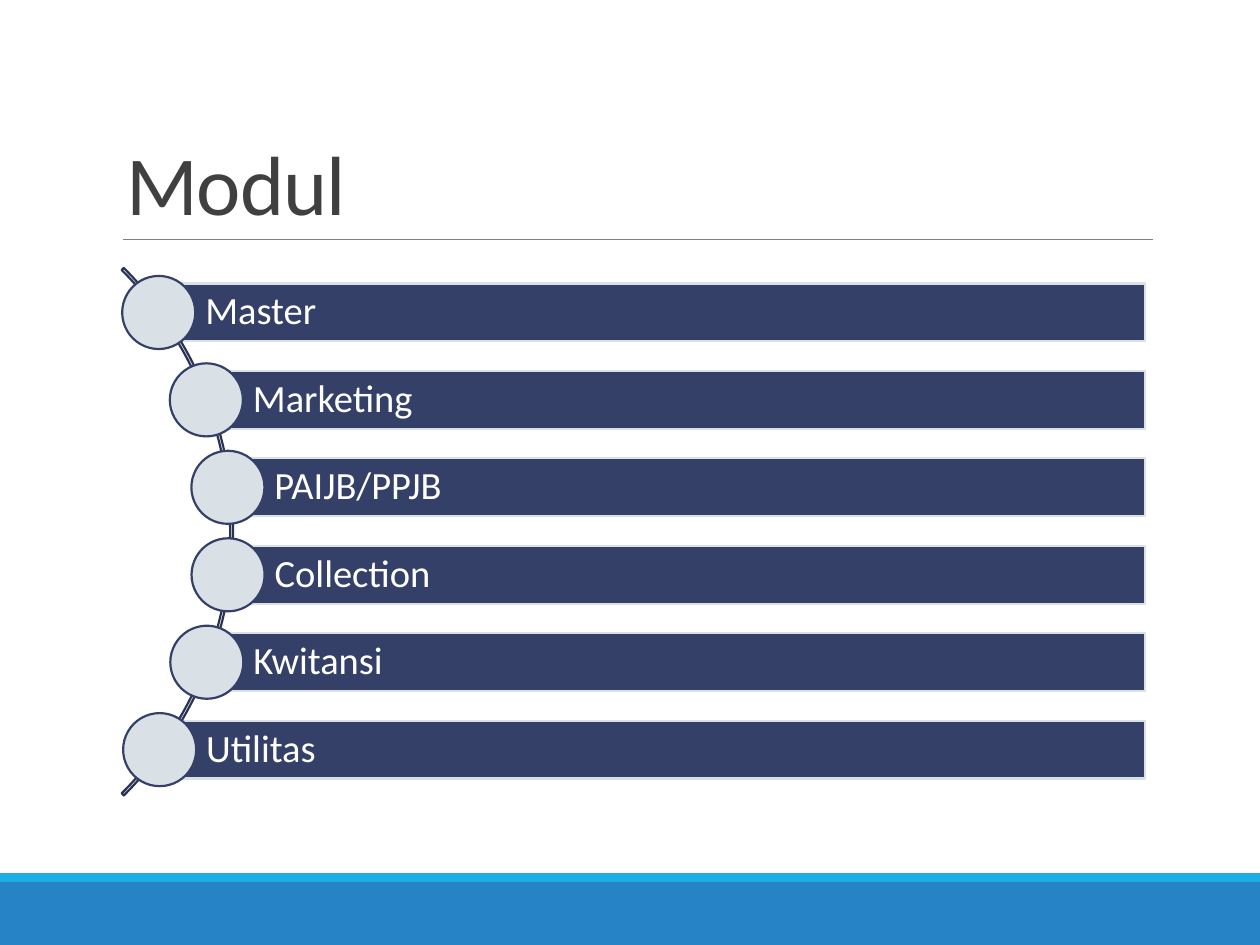
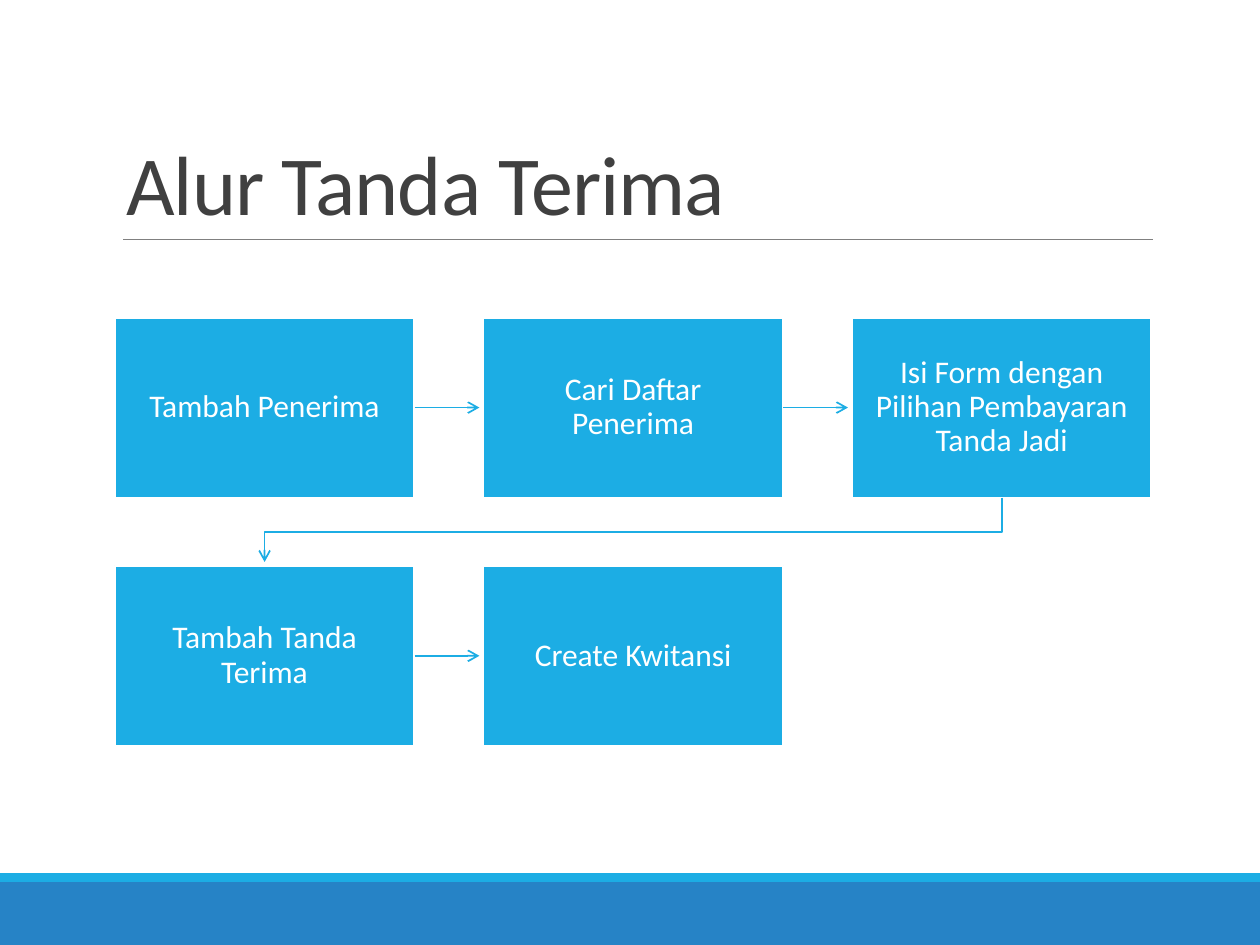
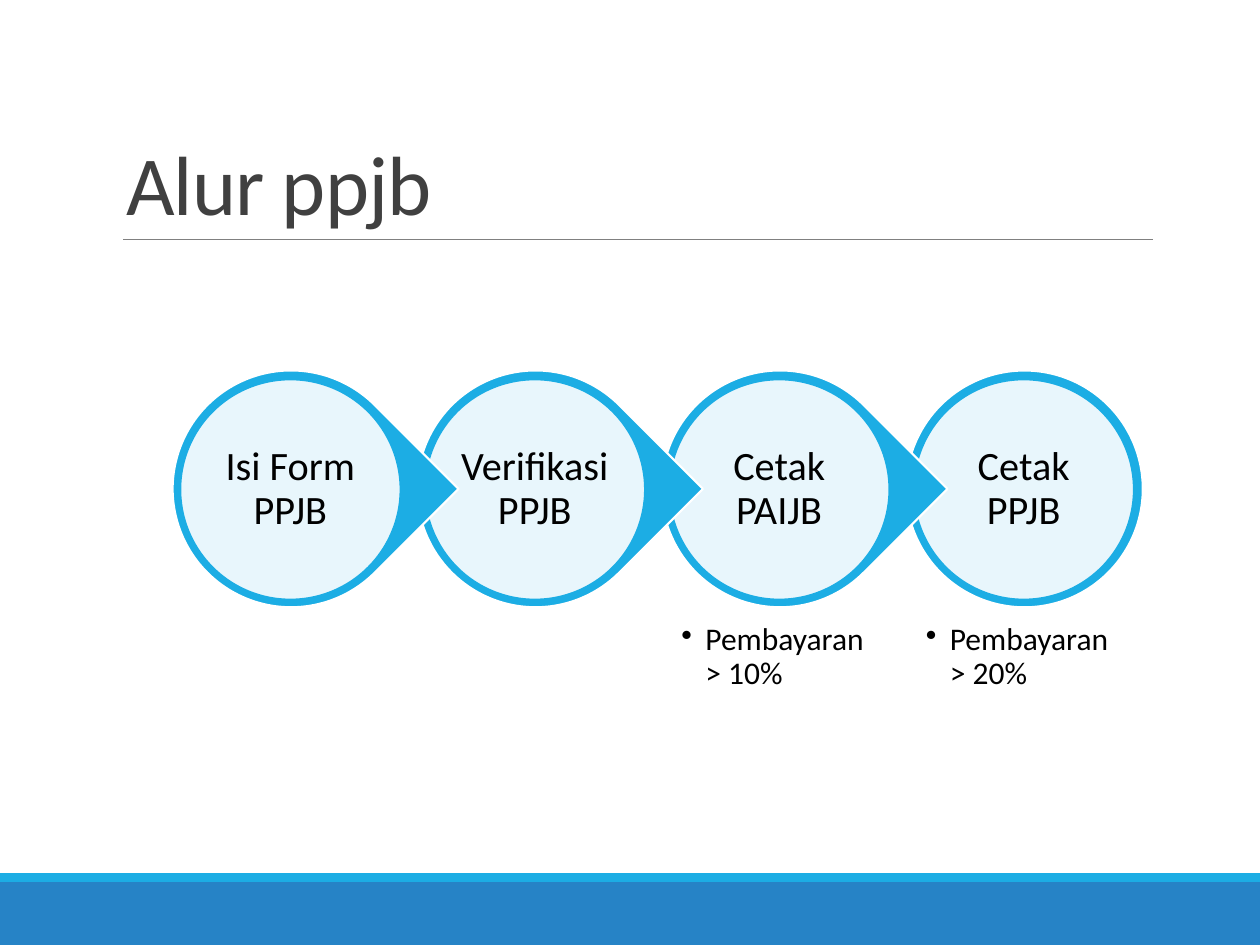
from dataclasses import dataclass
from math import sqrt

from lxml.etree import SubElement
from pptx import Presentation
from pptx.dml.color import RGBColor
from pptx.enum.shapes import MSO_CONNECTOR, MSO_SHAPE
from pptx.enum.text import MSO_ANCHOR, MSO_AUTO_SIZE, PP_ALIGN
from pptx.oxml.ns import qn
from pptx.util import Inches, Pt

FONT = "Calibri"
CYAN, BLUE, WHITE, BLACK = "1CADE4", "2683C6", "FFFFFF", "000000"
NAVY, PALE, ARC_BLUE = "344068", "D9E0E6", "2A3353"
TITLE_GRAY, RULE_GRAY = "404040", "808080"


@dataclass(frozen=True)
class Box:
    left: float
    top: float
    width: float
    height: float

    @property
    def right(self) -> float:
        return self.left + self.width

    @property
    def center(self) -> float:
        return self.left + self.width / 2

    @property
    def middle(self) -> float:
        return self.top + self.height / 2

    def lengths(self) -> list:
        return [Inches(value) for value in (self.left, self.top, self.width, self.height)]


@dataclass(frozen=True)
class TextStyle:
    size: float
    color: str
    align: PP_ALIGN = PP_ALIGN.LEFT
    anchor: MSO_ANCHOR = MSO_ANCHOR.MIDDLE
    line_spacing: float = 0.9
    insets: tuple = (0.1, 0.05, 0.1, 0.05)


@dataclass(frozen=True)
class Stage:
    label: str
    condition: str = ""


TITLE_STYLE = TextStyle(48, TITLE_GRAY, anchor=MSO_ANCHOR.BOTTOM, line_spacing=0.85)
MODULE_STYLE = TextStyle(22, WHITE, insets=(0.37, 0.06, 0.06, 0.06))
STEP_STYLE = TextStyle(18, WHITE, PP_ALIGN.CENTER, insets=(0.14,) * 4)
STAGE_STYLE = TextStyle(23, BLACK, PP_ALIGN.CENTER, insets=(0.02,) * 4)
CONDITION_STYLE = TextStyle(18, BLACK, anchor=MSO_ANCHOR.TOP, insets=(0.1,) * 4)

MODULES = ["Master", "Marketing", "PAIJB/PPJB", "Collection", "Kwitansi", "Utilitas"]
STEPS = [
    "Tambah Penerima",
    "Cari Daftar Penerima",
    "Isi Form dengan Pilihan Pembayaran Tanda Jadi",
    "Tambah Tanda Terima",
    "Create Kwitansi",
]
STAGES = [
    Stage("Isi Form PPJB"),
    Stage("Verifikasi PPJB"),
    Stage("Cetak PAIJB", "Pembayaran > 10%"),
    Stage("Cetak PPJB", "Pembayaran > 20%"),
]


# Shared drawing functions
def rgb(color: str) -> RGBColor:
    return RGBColor.from_string(color)


def set_text(shape, text: str, style: TextStyle) -> None:
    frame = shape.text_frame
    frame.text = text
    frame.word_wrap = True
    frame.auto_size = MSO_AUTO_SIZE.NONE
    frame.vertical_anchor = style.anchor
    (frame.margin_left, frame.margin_top,
     frame.margin_right, frame.margin_bottom) = map(Inches, style.insets)
    paragraph = frame.paragraphs[0]
    paragraph.alignment = style.align
    paragraph.line_spacing = style.line_spacing
    paragraph.font.name = FONT
    paragraph.font.size = Pt(style.size)
    paragraph.font.color.rgb = rgb(style.color)


def set_line(shape, color: str, width: float) -> None:
    shape.line.color.rgb = rgb(color)
    shape.line.width = Pt(width)


def add_figure(slide, kind: MSO_SHAPE, box: Box, fill: str = "", line: str = ""):
    shape = slide.shapes.add_shape(kind, *box.lengths())
    shape.shadow.inherit = False
    if fill:
        shape.fill.solid()
        shape.fill.fore_color.rgb = rgb(fill)
    else:
        shape.fill.background()
    if line:
        set_line(shape, line, 1.25)
    else:
        shape.line.fill.background()
    return shape


def add_straight(slide, start: tuple, end: tuple, color: str, width: float):
    connector = slide.shapes.add_connector(
        MSO_CONNECTOR.STRAIGHT, *(Inches(value) for value in start + end))
    set_line(connector, color, width)
    SubElement(connector.element.find(qn("p:spPr")), qn("a:effectLst"))
    return connector


def add_arrowhead(shape) -> None:
    outline = shape.element.find(".//" + qn("a:ln"))
    SubElement(outline, qn("a:tailEnd"), type="arrow")


def add_bullet(shape) -> None:
    properties = next(shape.element.iter(qn("a:pPr")))
    properties.set("marL", str(Inches(0.19)))
    properties.set("indent", str(Inches(-0.19)))
    bullet = SubElement(properties, qn("a:buChar"), char="•")
    properties.find(qn("a:defRPr")).addprevious(bullet)


# Bands, rule and title place, held by the layout
def prepare_layout(layout, slide) -> None:
    parts = [
        add_figure(slide, MSO_SHAPE.RECTANGLE, Box(0, 7, 10, 0.5), BLUE),
        add_figure(slide, MSO_SHAPE.RECTANGLE, Box(0, 6.93, 10, 0.07), CYAN),
        add_straight(slide, (0.98, 1.9), (9.15, 1.9), RULE_GRAY, 0.5),
    ]
    for number, part in enumerate(parts, start=100):
        next(part.element.iter(qn("p:cNvPr"))).set("id", str(number))
        layout.shapes.element.append(part.element)
    title = layout.placeholders[0]
    title.left, title.top, title.width, title.height = Box(0.9, 0.31, 8.25, 1.59).lengths()


def set_title(slide, text: str) -> None:
    title = slide.shapes.title
    set_text(title, text, TITLE_STYLE)
    next(title.element.iter(qn("a:defRPr"))).set("spc", "-50")


# Module list along an arc
def draw_modules(slide) -> None:
    arc_box = Box(-4.07, 1.26, 5.92, 5.92)
    arc = add_figure(slide, MSO_SHAPE.BLOCK_ARC, arc_box, line=ARC_BLUE)
    for index, value in enumerate((189, 27, 0.004)):
        arc.adjustments[index] = value
    radius, diameter, bar_height, right = 2.94, 0.58, 0.46, 9.09
    for index, module in enumerate(MODULES):
        top = 2.25 + 3.47 * index / (len(MODULES) - 1)
        middle = top + bar_height / 2
        left = arc_box.center + sqrt(radius ** 2 - (middle - arc_box.middle) ** 2)
        bar = add_figure(slide, MSO_SHAPE.RECTANGLE,
                         Box(left, top, right - left, bar_height), NAVY, PALE)
        set_text(bar, module, MODULE_STYLE)
        add_figure(slide, MSO_SHAPE.OVAL,
                   Box(left - diameter / 2, middle - diameter / 2, diameter, diameter),
                   PALE, NAVY)


# Receipt flow, three steps to a row
def draw_steps(slide) -> None:
    columns = 3
    boxes = [Box(0.91 + 5.85 / 2 * (index % columns), 2.52 + 1.97 * (index // columns), 2.38, 1.43)
             for index in range(len(STEPS))]
    shapes = []
    for step, box in zip(STEPS, boxes):
        shape = add_figure(slide, MSO_SHAPE.RECTANGLE, box, CYAN, WHITE)
        set_text(shape, step, STEP_STYLE)
        shapes.append(shape)
    for shape, box, following in zip(shapes, boxes, boxes[1:]):
        if following.top == box.top:
            arrow = add_straight(slide, (box.right, box.middle),
                                 (following.left - 0.03, box.middle), CYAN, 1)
            arrow.begin_connect(shape, 3)
        else:
            bottom = box.top + box.height
            turn = (bottom + following.top) / 2
            points = [(box.center, bottom), (box.center, turn),
                      (following.center, turn), (following.center, following.top - 0.03)]
            corners = [(Inches(x), Inches(y)) for x, y in points]
            builder = slide.shapes.build_freeform(*corners[0])
            builder.add_line_segments(corners[1:], close=False)
            arrow = builder.convert_to_shape()
            arrow.shadow.inherit = False
            arrow.fill.background()
            set_line(arrow, CYAN, 1)
        add_arrowhead(arrow)


# Chain of stages, each pointing over the next
def draw_stages(slide) -> None:
    last = len(STAGES) - 1
    for index in range(last, -1, -1):
        stage = STAGES[index]
        left = 1.37 + 1.94 * index
        kind = MSO_SHAPE.OVAL if index == last else MSO_SHAPE.TEAR
        ring = add_figure(slide, kind, Box(left, 2.94, 1.88, 1.88), CYAN, WHITE)
        if index < last:
            ring.rotation = 45
        disc_box = Box(left + 0.06, 3.01, 1.75, 1.75)
        disc = add_figure(slide, MSO_SHAPE.OVAL, disc_box, WHITE, CYAN)
        fill_color = disc.element.find(".//" + qn("a:solidFill")).find(qn("a:srgbClr"))
        SubElement(fill_color, qn("a:alpha"), val="90000")
        set_text(disc, stage.label, STAGE_STYLE)
        if stage.condition:
            caption = slide.shapes.add_textbox(
                *Box(disc_box.left, 4.85, disc_box.width, 1.03).lengths())
            set_text(caption, stage.condition, CONDITION_STYLE)
            add_bullet(caption)


def main() -> None:
    presentation = Presentation()
    presentation.slide_width, presentation.slide_height = Inches(10), Inches(7.5)
    layout = presentation.slide_layouts.get_by_name("Title Only")
    pages = [("Modul", draw_modules), ("Alur Tanda Terima", draw_steps), ("Alur ppjb", draw_stages)]
    slides = [presentation.slides.add_slide(layout) for _ in pages]
    prepare_layout(layout, slides[0])
    for slide, (title, draw) in zip(slides, pages):
        set_title(slide, title)
        draw(slide)
    presentation.save("out.pptx")


if __name__ == "__main__":
    main()
